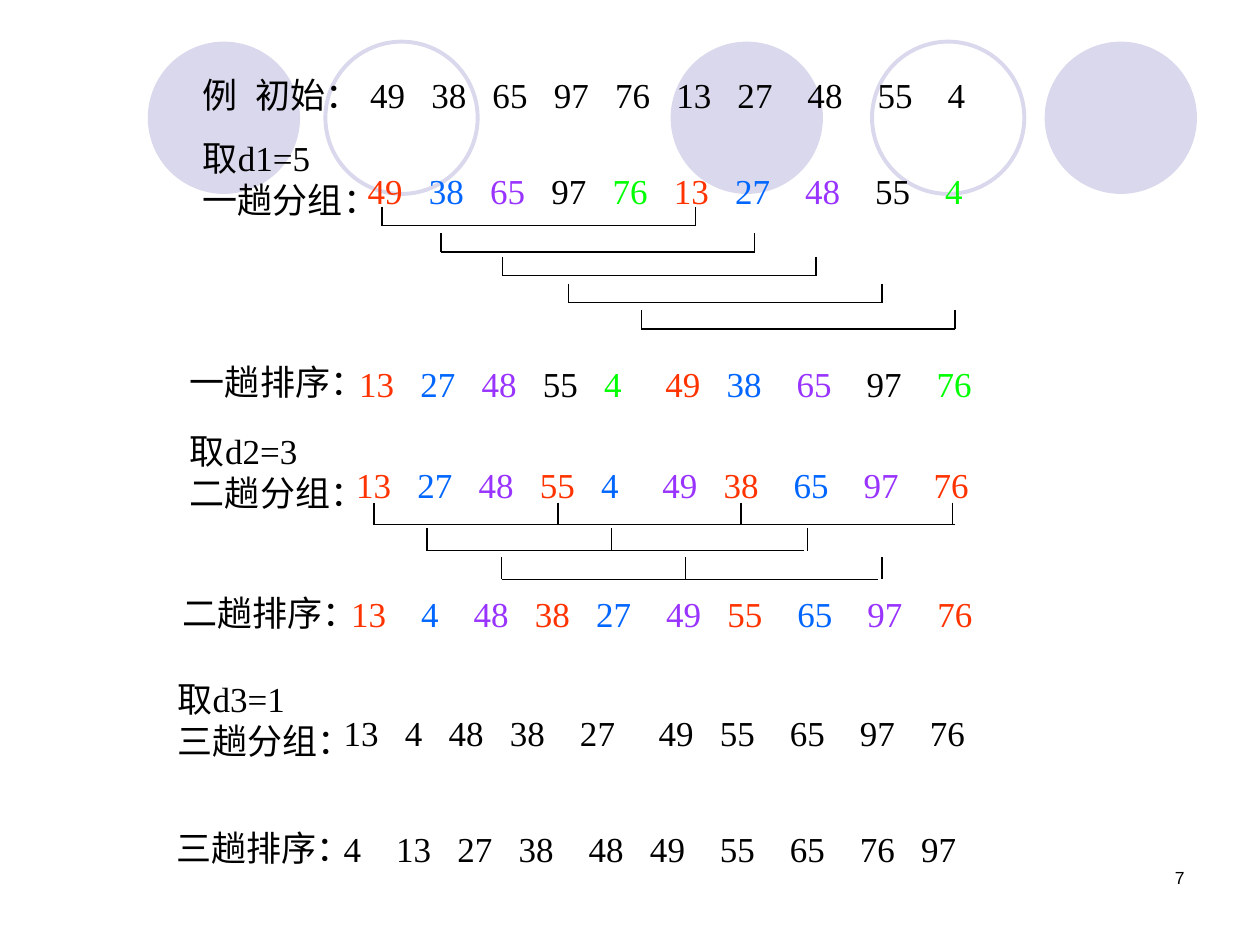
import itertools

import pptx
import pptx.dml.color
import pptx.enum.shapes
import pptx.enum.text
import pptx.oxml
import pptx.oxml.ns
import pptx.util
from pptx.util import Cm

BLACK = pptx.dml.color.RGBColor(0x00, 0x00, 0x00)
RED = pptx.dml.color.RGBColor(0xFF, 0x33, 0x00)
BLUE = pptx.dml.color.RGBColor(0x00, 0x66, 0xFF)
PURPLE = pptx.dml.color.RGBColor(0x99, 0x33, 0xFF)
GREEN = pptx.dml.color.RGBColor(0x00, 0xFF, 0x00)
LAVENDER = pptx.dml.color.RGBColor(0xD9, 0xD8, 0xEC)

FIVE_GROUPS = [RED, BLUE, PURPLE, BLACK, GREEN]
THREE_GROUPS = [RED, BLUE, PURPLE]
ONE_GROUP = [BLACK]

DIGIT_WIDTH = 10  # points, at 20 pt
GAP_UNIT = 5  # points


def add_text(left, top, width, height, lines, tab_stops=(), size=20, font="Times New Roman"):
    """Each line is a list of (text, colour) runs; tab stops are in points."""
    box = slide.shapes.add_textbox(Cm(left), Cm(top), Cm(width), Cm(height))
    frame = box.text_frame
    frame.word_wrap = True
    for index, runs in enumerate(lines):
        paragraph = frame.paragraphs[0] if index == 0 else frame.add_paragraph()
        if tab_stops:
            properties = paragraph._p.get_or_add_pPr()
            tab_list = pptx.oxml.parse_xml(f"<a:tabLst {pptx.oxml.ns.nsdecls('a')}/>")
            for stop in tab_stops:
                tab = tab_list.makeelement(pptx.oxml.ns.qn("a:tab"))
                tab.set("pos", str(pptx.util.Pt(stop)))
                tab.set("algn", "l")
                tab_list.append(tab)
            properties.append(tab_list)
        for text, colour in runs:
            run = paragraph.add_run()
            run.text = text
            run.font.size = pptx.util.Pt(size)
            run.font.name = font
            run.font.color.rgb = colour
    return frame


def add_line(x1, y1, x2, y2):
    line = slide.shapes.add_connector(
        pptx.enum.shapes.MSO_CONNECTOR.STRAIGHT, Cm(x1), Cm(y1), Cm(x2), Cm(y2))
    line.line.color.rgb = BLACK
    line.line.width = pptx.util.Pt(0.75)
    line._element.spPr.append(
        pptx.oxml.parse_xml(f"<a:effectLst {pptx.oxml.ns.nsdecls('a')}/>"))


presentation = pptx.Presentation()
presentation.slide_width = Cm(25.4)
presentation.slide_height = Cm(19.05)
slide = presentation.slides.add_slide(presentation.slide_layouts[6])

# Decorative circles: left edge, filled or outlined
for left, filled in [(13.52, True), (21.06, True), (2.98, True), (17.58, False), (6.56, False)]:
    circle = slide.shapes.add_shape(
        pptx.enum.shapes.MSO_SHAPE.OVAL, Cm(left), Cm(0.84), Cm(3.07), Cm(3.07))
    circle.shadow.inherit = False
    if filled:
        circle.fill.solid()
        circle.fill.fore_color.rgb = LAVENDER
        circle.line.fill.background()
    else:
        circle.fill.background()
        circle.line.color.rgb = LAVENDER
        circle.line.width = pptx.util.Pt(2.25)

# Rows: label lines, label left and top, numbers, gaps between them,
# numbers left and top, group colours
rows = [
    (["例\t初始："], 3.84, 1.35, [49, 38, 65, 97, 76, 13, 27, 48, 55, 4],
     [3, 3, 3, 3, 3, 3, 4, 4, 4], 7.21, 1.35, ONE_GROUP),
    (["取d1=5", "一趟分组："], 3.84, 2.62, [49, 38, 65, 97, 76, 13, 27, 48, 55, 4],
     [3, 3, 3, 3, 3, 3, 4, 4, 4], 7.16, 3.3, FIVE_GROUPS),
    (["一趟排序："], 3.58, 7.14, [13, 27, 48, 55, 4, 49, 38, 65, 97, 76],
     [3, 3, 3, 3, 5, 3, 4, 4, 4], 6.99, 7.19, FIVE_GROUPS),
    (["取d2=3", "二趟分组："], 3.58, 8.53, [13, 27, 48, 55, 4, 49, 38, 65, 97, 76],
     [3, 3, 3, 3, 5, 3, 4, 4, 4], 6.93, 9.22, THREE_GROUPS),
    (["二趟排序："], 3.43, 11.79, [13, 4, 48, 38, 27, 49, 55, 65, 97, 76],
     [4, 4, 3, 3, 4, 3, 4, 4, 4], 6.83, 11.81, THREE_GROUPS),
    (["取d3=1", "三趟分组："], 3.33, 13.54, [13, 4, 48, 38, 27, 49, 55, 65, 97, 76],
     [3, 3, 3, 4, 5, 3, 4, 4, 4], 6.68, 14.22, ONE_GROUP),
    (["三趟排序："], 3.3, 16.54, [4, 13, 27, 38, 48, 49, 55, 65, 76, 97],
     [4, 3, 3, 4, 3, 4, 4, 4, 3], 6.68, 16.56, ONE_GROUP),
]
for label, label_left, label_top, numbers, gaps, left, top, colours in rows:
    add_text(label_left, label_top, 4.1, 0.27 + 0.85 * len(label),
             [[(line, BLACK)] for line in label],
             tab_stops=[30] if "\t" in label[0] else [])
    tab_stops = list(itertools.accumulate(
        len(str(number)) * DIGIT_WIDTH + gap * GAP_UNIT
        for number, gap in zip(numbers, gaps)))
    runs = [(str(number) if index == 0 else f"\t{number}", colour)
            for index, (number, colour) in enumerate(zip(numbers, itertools.cycle(colours)))]
    add_text(left, top, 13.1, 1.12, [runs], tab_stops)

# Brackets joining the numbers of a group: tick positions, base end, top, height
brackets = [([left, left + 6.32], left + 6.32, top, 0.38) for left, top in
            [(7.7, 4.17), (8.89, 4.7), (10.13, 5.18), (11.46, 5.72), (12.93, 6.25)]]
brackets += [
    ([7.54, 11.25, 14.94, 19.2], 19.25, 10.13, 0.45),
    ([8.61, 12.32, 16.28], 16.21, 10.65, 0.45),
    ([10.11, 13.82, 17.78], 17.7, 11.23, 0.45),
]
for ticks, base_end, top, height in brackets:
    add_line(ticks[0], top + height, base_end, top + height)
    for tick in ticks:
        add_line(tick, top, tick, top + height)

page_number = add_text(18.21, 17.35, 5.92, 1.27, [[("7", BLACK)]], size=10, font="Arial")
page_number.paragraphs[0].alignment = pptx.enum.text.PP_ALIGN.RIGHT

presentation.save("out.pptx")
